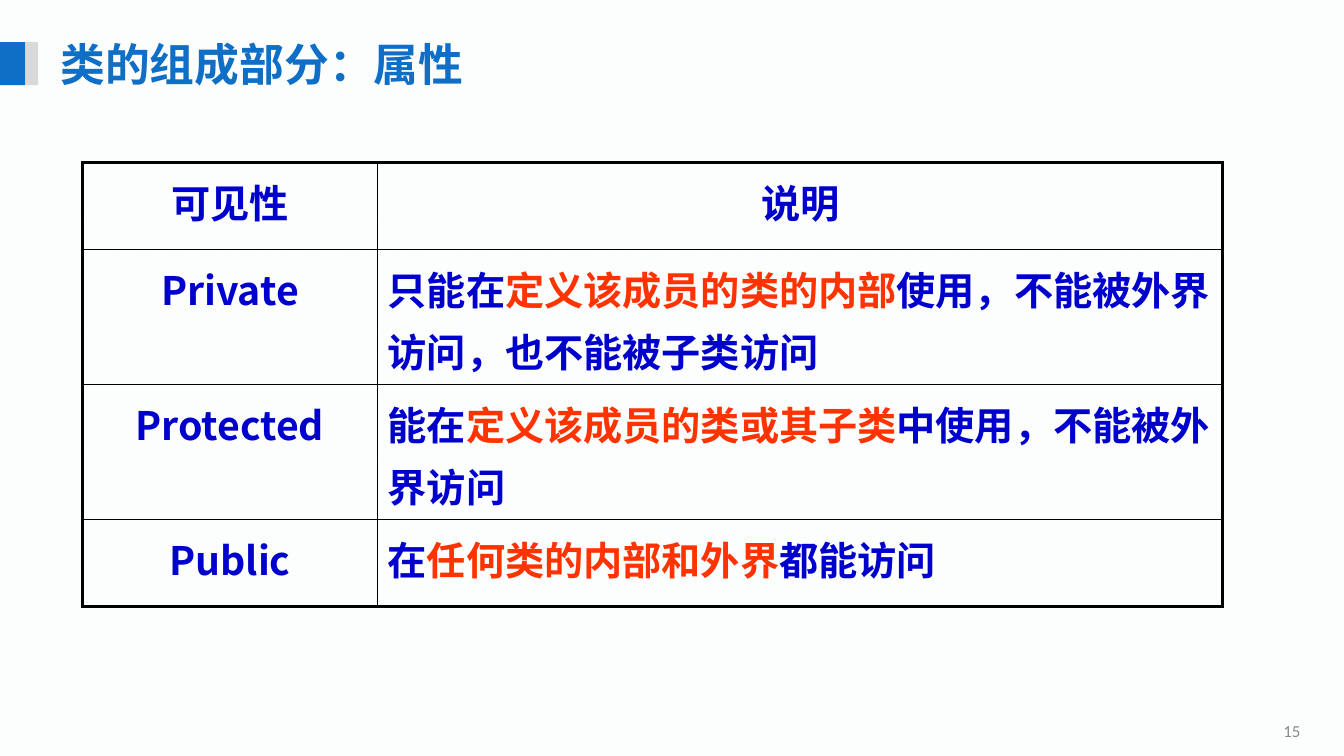
import pptx
import pptx.util
import pptx.dml.color
import pptx.enum.dml
import pptx.enum.shapes
import pptx.enum.text
import pptx.oxml
import lxml.etree

Cm, Pt = pptx.util.Cm, pptx.util.Pt
ALIGN = pptx.enum.text.PP_ALIGN
ANCHOR = pptx.enum.text.MSO_ANCHOR
CJK_FONT = "Noto Sans CJK SC"
BLUE, NAVY, RED = "0F6FC6", "0000CC", "FF3300"
THIN, THICK = 1, 2.25

HEADER = ["可见性", "说明"]
# Visibility, then the description as plain, stressed and plain text
LEVELS = [
    ("Private", ["只能在", "定义该成员的类的内部", "使用，不能被外界访问，也不能被子类访问"]),
    ("Protected", ["能在", "定义该成员的类或其子类", "中使用，不能被外界访问"]),
    ("Public", ["在", "任何类的内部和外界", "都能访问"]),
]


def color(code):
    return pptx.dml.color.RGBColor.from_string(code)


def set_font(font, name, size, code, bold=False):
    font.name, font.size, font.bold = name, Pt(size), bold
    font.color.rgb = color(code)


def set_east_asian(para, name):
    for span in para.runs:
        properties = span.font._element
        latin = properties.find(pptx.oxml.ns.qn("a:latin"))
        east = lxml.etree.Element(pptx.oxml.ns.qn("a:ea"), typeface=name)
        if latin is None:
            properties.append(east)
        else:
            latin.addnext(east)


def add_background(page):
    fill = page.background.fill
    fill.patterned()
    fill.pattern = pptx.enum.dml.MSO_PATTERN.LIGHT_UPWARD_DIAGONAL
    fill.fore_color.rgb = color("FAFBFB")
    fill.back_color.rgb = color("FDFEFE")


def add_label(page, left, top, width, height, text, font, align):
    box = page.shapes.add_textbox(Cm(left), Cm(top), Cm(width), Cm(height))
    frame = box.text_frame
    frame.word_wrap = True
    frame.vertical_anchor = ANCHOR.MIDDLE
    para = frame.paragraphs[0]
    para.text, para.alignment = text, align
    set_font(para.font, *font)
    set_east_asian(para, font[0])


def add_title(page, left, top, width, height):
    # Marker bars at the slide edge
    for offset, bar_width, code in [(0, 0.64, BLUE), (0.64, 0.32, "D9D9D9")]:
        bar = page.shapes.add_shape(
            pptx.enum.shapes.MSO_SHAPE.RECTANGLE,
            Cm(left + offset), Cm(top + 0.27), Cm(bar_width), Cm(1.09))
        bar.shadow.inherit = False
        bar.fill.solid()
        bar.fill.fore_color.rgb = color(code)
        bar.line.fill.background()
    # Heading
    add_label(page, left + 1.27, top, width - 1.27, height, "类的组成部分：属性",
              (CJK_FONT, 32, BLUE, True), ALIGN.LEFT)


def set_borders(cell, widths):
    properties = cell._tc.get_or_add_tcPr()
    for position, (side, width) in enumerate(widths.items()):
        properties.insert(position, pptx.oxml.parse_xml(
            f'<a:ln{side} {pptx.oxml.ns.nsdecls("a")} w="{int(Pt(width))}">'
            '<a:solidFill><a:srgbClr val="000000"/></a:solidFill>'
            f'</a:ln{side}>'))


def fill_cell(cell, parts, align):
    cell.fill.background()
    para = cell.text_frame.paragraphs[0]
    para.alignment, para.line_spacing = align, 1.1
    para.space_before, para.space_after = Pt(5.6), Pt(6)
    set_font(para.font, CJK_FONT, 28, NAVY, True)
    for index, part in enumerate(parts):
        span = para.add_run()
        span.text = part
        if index == 1:
            span.font.color.rgb = color(RED)
    set_east_asian(para, CJK_FONT)


def add_visibility_table(page, left, top, width):
    column_widths = [7.45, width - 7.45]
    row_heights = [2.2, 3.4, 3.4, 2.2]
    table = page.shapes.add_table(
        len(row_heights), len(column_widths),
        Cm(left), Cm(top), Cm(width), Cm(sum(row_heights))).table
    table.first_row = table.horz_banding = False
    for column, column_width in zip(table.columns, column_widths):
        column.width = Cm(column_width)
    for row, row_height in zip(table.rows, row_heights):
        row.height = Cm(row_height)

    # Header is centred, as is the first column
    rows = [([HEADER[0]], [HEADER[1]])]
    rows += [([name], parts) for name, parts in LEVELS]
    last_row, last_column = len(rows) - 1, len(column_widths) - 1
    for r, row in enumerate(rows):
        for c, parts in enumerate(row):
            cell = table.cell(r, c)
            fill_cell(cell, parts, ALIGN.CENTER if r == 0 or c == 0 else ALIGN.LEFT)
            # Thick frame, thin inner lines
            set_borders(cell, {
                "L": THICK if c == 0 else THIN,
                "R": THICK if c == last_column else THIN,
                "T": THICK if r == 0 else THIN,
                "B": THICK if r == last_row else THIN,
            })


def main():
    deck = pptx.Presentation()
    deck.slide_width, deck.slide_height = Cm(33.87), Cm(19.05)
    page = deck.slides.add_slide(deck.slide_layouts[6])
    add_background(page)
    add_title(page, 0, 0.79, 21.13, 1.63)
    add_visibility_table(page, 2.07, 4.09, 28.74)
    # Page number
    add_label(page, 25.12, 17.96, 7.9, 0.89, "15",
              ("Calibri", 12, "898989"), ALIGN.RIGHT)
    deck.save("out.pptx")


if __name__ == "__main__":
    main()
